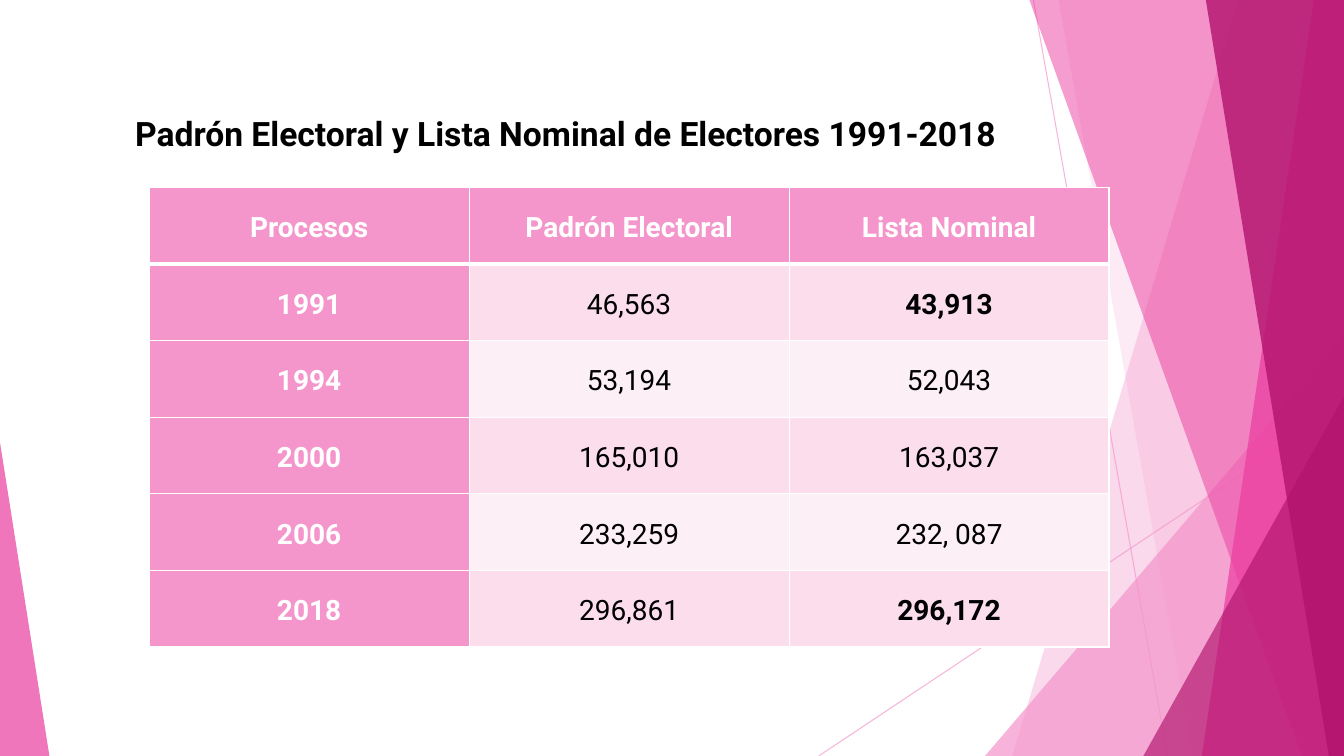
from lxml import etree
from pptx import Presentation
from pptx.dml.color import RGBColor
from pptx.enum.shapes import MSO_CONNECTOR as Connector, MSO_SHAPE as Shape
from pptx.enum.text import MSO_ANCHOR as Anchor, PP_ALIGN as Align
from pptx.oxml.ns import qn
from pptx.util import Inches, Pt

WIDTH, HEIGHT = 13.33, 7.5
PALE, PINK, MAGENTA = "F496CB", "EB3D9F", "B2136D"
WHITE, BLACK = "FFFFFF", "000000"
BANDS = ["FBDDEC", "FDEFF6"]


def paint(fill, colour, opacity=100):
    """Set a solid fill with an opacity in percent."""
    fill.solid()
    fill.fore_color.rgb = RGBColor.from_string(colour)
    if opacity < 100:
        srgb = fill._xPr.find(".//" + qn("a:srgbClr"))
        etree.SubElement(srgb, qn("a:alpha"), val=str(opacity * 1000))


def style_font(font, size, colour, bold):
    for name, value in {"name": "Roboto", "size": Pt(size), "bold": bold}.items():
        setattr(font, name, value)
    font.color.rgb = RGBColor.from_string(colour)


prs = Presentation()
prs.slide_width, prs.slide_height = Inches(WIDTH), Inches(HEIGHT)
slide = prs.slides.add_slide(prs.slide_layouts[5])
shapes = slide.shapes

# Thin crossing lines
for ends in [(10.25, 0, 11.58, HEIGHT), (WIDTH, 4.03, 8.12, HEIGHT)]:
    ray = shapes.add_connector(Connector.STRAIGHT, *map(Inches, ends))
    ray.line.width = Pt(0.75)
    paint(ray.line.fill, PALE, 70)
    etree.SubElement(ray._element.spPr, qn("a:effectLst"))

# Facets: a ribbon runs from its slanted left edge to the right slide edge,
# a triangle fills a bottom corner with its apex on the slide edge
facets = [
    ("ribbon", (12.28, 10.04), PALE, 36),
    ("ribbon", (10.5, 11.83), PALE, 20),
    ("triangle", (9.77, 3.33, 3.56, 1), PALE, 72),
    ("ribbon", (10.21, 12.91), PINK, 50),
    ("ribbon", (13.03, 11.92), PINK, 70),
    ("ribbon", (11.96, 13.18), MAGENTA, 80),
    ("triangle", (11.34, 3.93, 1.99, 1), MAGENTA, 66),
    ("triangle", (0, 4.39, 0.49, 0), PINK, 70),
]
for kind, geometry, colour, opacity in facets:
    if kind == "ribbon":
        top_x, bottom_x = geometry
        outline = shapes.build_freeform(Inches(top_x), 0)
        corners = [(WIDTH, 0), (WIDTH, HEIGHT), (bottom_x, HEIGHT)]
        outline.add_line_segments([(Inches(x), Inches(y)) for x, y in corners])
        facet = outline.convert_to_shape()
    else:
        left, top, width, apex = geometry
        facet = shapes.add_shape(Shape.ISOSCELES_TRIANGLE, Inches(left), Inches(top),
                                 Inches(width), Inches(HEIGHT - top))
        facet.adjustments[0] = apex
    paint(facet.fill, colour, opacity)
    facet.line.fill.background()
    facet.shadow.inherit = False

# Title
title = shapes.title
title_box = {"left": 1.24, "top": 1.06, "width": 9.54, "height": 0.52}
for side, length in title_box.items():
    setattr(title, side, Inches(length))
title.text_frame.text = "Padrón Electoral y Lista Nominal de Electores 1991-2018"
title.text_frame.vertical_anchor = Anchor.MIDDLE
heading = title.text_frame.paragraphs[0]
heading.alignment = Align.LEFT
style_font(heading.runs[0].font, 24, BLACK, True)

# Electoral roll table
rolls = [
    ("Procesos", "Padrón Electoral", "Lista Nominal"),
    ("1991", "46,563", "43,913"),
    ("1994", "53,194", "52,043"),
    ("2000", "165,010", "163,037"),
    ("2006", "233,259", "232, 087"),
    ("2018", "296,861", "296,172"),
]
highlights = {"43,913", "296,172"}
cell_format = {"margin_left": Inches(0.07), "margin_right": Inches(0.07),
               "margin_top": 0, "margin_bottom": 0, "vertical_anchor": Anchor.MIDDLE}
roll_table = shapes.add_table(len(rolls), len(rolls[0]), Inches(1.48), Inches(1.86),
                              Inches(9.52), Inches(4.56)).table
for r, values in enumerate(rolls):
    for c, value in enumerate(values):
        cell = roll_table.cell(r, c)
        for name, setting in cell_format.items():
            setattr(cell, name, setting)

        cell_props = cell._tc.get_or_add_tcPr()
        for edge in ("lnL", "lnR", "lnT", "lnB"):
            under_header = (r, edge) in [(0, "lnB"), (1, "lnT")]
            border = etree.SubElement(cell_props, qn("a:" + edge),
                                      w=str(Pt(3 if under_header else 1)))
            border_fill = etree.SubElement(border, qn("a:solidFill"))
            etree.SubElement(border_fill, qn("a:srgbClr"), val=WHITE)

        is_heading = r == 0 or c == 0
        paint(cell.fill, PALE if is_heading else BANDS[(r - 1) % 2])
        cell.text = value
        entry = cell.text_frame.paragraphs[0]
        entry.alignment = Align.CENTER
        entry.line_spacing = 1.15
        style_font(entry.runs[0].font, 20, WHITE if is_heading else BLACK,
                   is_heading or value in highlights)

prs.save("out.pptx")
